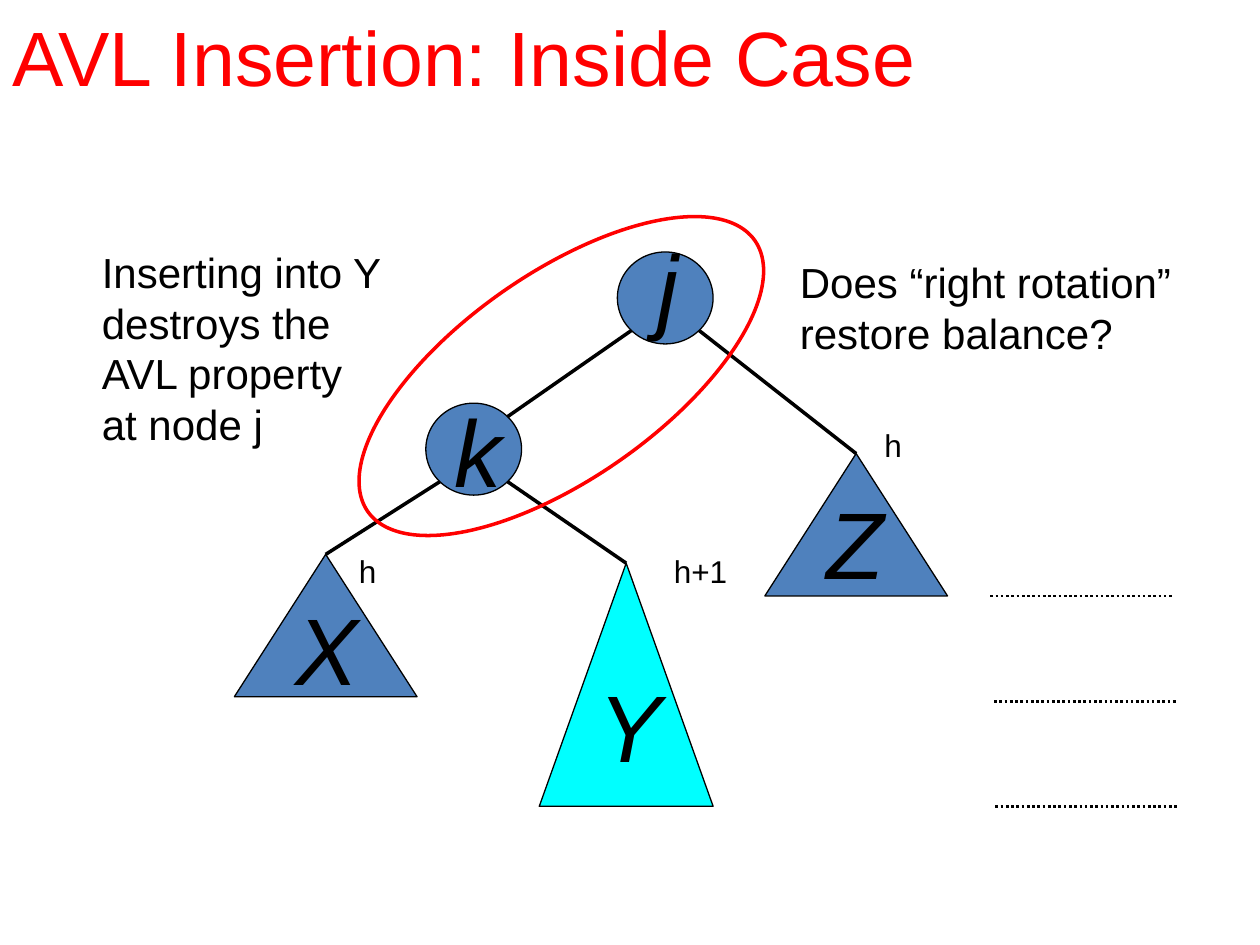
from dataclasses import dataclass
from math import sqrt

from lxml.etree import SubElement
from pptx import Presentation
from pptx.dml.color import RGBColor
from pptx.enum.dml import MSO_LINE
from pptx.enum.shapes import MSO_CONNECTOR, MSO_SHAPE
from pptx.enum.text import MSO_ANCHOR, PP_ALIGN
from pptx.oxml.ns import qn
from pptx.util import Inches, Pt


@dataclass(frozen=True)
class Theme:
    font: str = "Arial"
    black: RGBColor = RGBColor(0, 0, 0)
    red: RGBColor = RGBColor(255, 0, 0)
    blue: RGBColor = RGBColor(0x4F, 0x81, 0xBD)
    cyan: RGBColor = RGBColor(0, 255, 255)
    title: int = 44
    letter: int = 54
    note: int = 24
    height: int = 18
    leading: float = 1.2
    outline: float = 0.75
    edge: float = 2
    level: float = 1.5


THEME = Theme()
COLUMNS, ROWS = 10, 7.5
TITLE = "AVL Insertion: Inside Case"
NODE_SIZE = (0.76, 0.73)
NODES = {"j": (4.9, 2), "k": (3.38, 3.2)}
SUBTREES = {
    "X": ((1.86, 4.4, 1.45, 1.13), THEME.blue),
    "Y": ((4.28, 4.47, 1.38, 1.93), THEME.cyan),
    "Z": ((6.07, 3.6, 1.45, 1.13), THEME.blue),
}
EDGES = [("k", -1, "X"), ("k", 1, "Y"), ("j", 1, "Z")]
LETTERS = {"j": (5.12, 1.76), "k": (3.51, 3.07), "X": (2.25, 4.64),
           "Y": (4.65, 5.25), "Z": (6.46, 3.8)}
NOTES = [
    (["Inserting into Y", "destroys the", "AVL property", "at node j"], (0.71, 1.91, 2.52, 1.7)),
    (["Does “right rotation”", "restore balance?"], (6.25, 1.99, 3.15, 0.9)),
]
HEIGHTS = [("h", (6.92, 3.33, 0.36, 0.43)), ("h+1", (5.25, 4.33, 0.67, 0.43)),
           ("h", (2.75, 4.33, 0.36, 0.43))]
LEVELS = [(7.86, 4.73), (7.89, 5.57), (7.9, 6.4)]
LEVEL_WIDTH = 1.45
HIGHLIGHT, HIGHLIGHT_TURN = (2.58, 2.17, 3.75, 1.63), 325

deck = Presentation()
deck.slide_width, deck.slide_height = Inches(COLUMNS), Inches(ROWS)
page = deck.slides.add_slide(deck.slide_layouts[5])


def place(*lengths):
    return [Inches(length) for length in lengths]


def style(span, size, color=THEME.black, italic=False):
    span.font.name, span.font.size = THEME.font, Pt(size)
    span.font.color.rgb, span.font.italic = color, italic


def add_text(lines, area, size, italic=False, wrap=False):
    box = page.shapes.add_textbox(*place(*area))
    box.text_frame.text = "\n".join(lines)
    box.text_frame.word_wrap = wrap
    for para in box.text_frame.paragraphs:
        para.line_spacing = Pt(size * THEME.leading)
        for span in para.runs:
            style(span, size, italic=italic)


def add_outline(kind, area, fill=None, line=THEME.black, width=THEME.outline):
    shape = page.shapes.add_shape(kind, *place(*area))
    shape.shadow.inherit = False
    if fill is None:
        shape.fill.background()
    else:
        shape.fill.solid()
        shape.fill.fore_color.rgb = fill
    shape.line.color.rgb, shape.line.width = line, Pt(width)
    return shape


def add_line(start, end, width):
    line = page.shapes.add_connector(MSO_CONNECTOR.STRAIGHT, *place(*start, *end))
    line.line.color.rgb, line.line.width = THEME.black, Pt(width)
    SubElement(line._element.spPr, qn("a:effectLst"))
    return line


def rim(node, across, down):
    return [corner + size / 2 * (1 + side / sqrt(2))
            for corner, size, side in zip(NODES[node], NODE_SIZE, (across, down))]


title = page.shapes.title
title.left, title.top, title.width, title.height = place(0, 0, 8.55, 0.88)
title.text_frame.text = TITLE
title.text_frame.vertical_anchor = MSO_ANCHOR.MIDDLE
title.text_frame.paragraphs[0].alignment = PP_ALIGN.LEFT
style(title.text_frame.paragraphs[0].runs[0], THEME.title, THEME.red)

for corner in NODES.values():
    add_outline(MSO_SHAPE.OVAL, (*corner, *NODE_SIZE), THEME.blue)
subtrees = {name: add_outline(MSO_SHAPE.ISOSCELES_TRIANGLE, area, fill)
            for name, (area, fill) in SUBTREES.items()}

add_line(rim("j", -1, 1), rim("k", 1, -1), THEME.edge)
for node, side, name in EDGES:
    left, top, width, _ = SUBTREES[name][0]
    edge = add_line(rim(node, side, 1), (left + width / 2, top), THEME.edge)
    edge.end_connect(subtrees[name], 0)

for left, top in LEVELS:
    level = add_line((left, top), (left + LEVEL_WIDTH, top), THEME.level)
    level.line.dash_style = MSO_LINE.ROUND_DOT

for letter, corner in LETTERS.items():
    add_text([letter], (*corner, 0.46, 1), THEME.letter, italic=True, wrap=True)
for lines, area in NOTES:
    add_text(lines, area, THEME.note)

highlight = add_outline(MSO_SHAPE.OVAL, HIGHLIGHT, line=THEME.red, width=THEME.edge)
highlight.rotation = HIGHLIGHT_TURN
for label, area in HEIGHTS:
    add_text([label], area, THEME.height)

deck.save("out.pptx")
